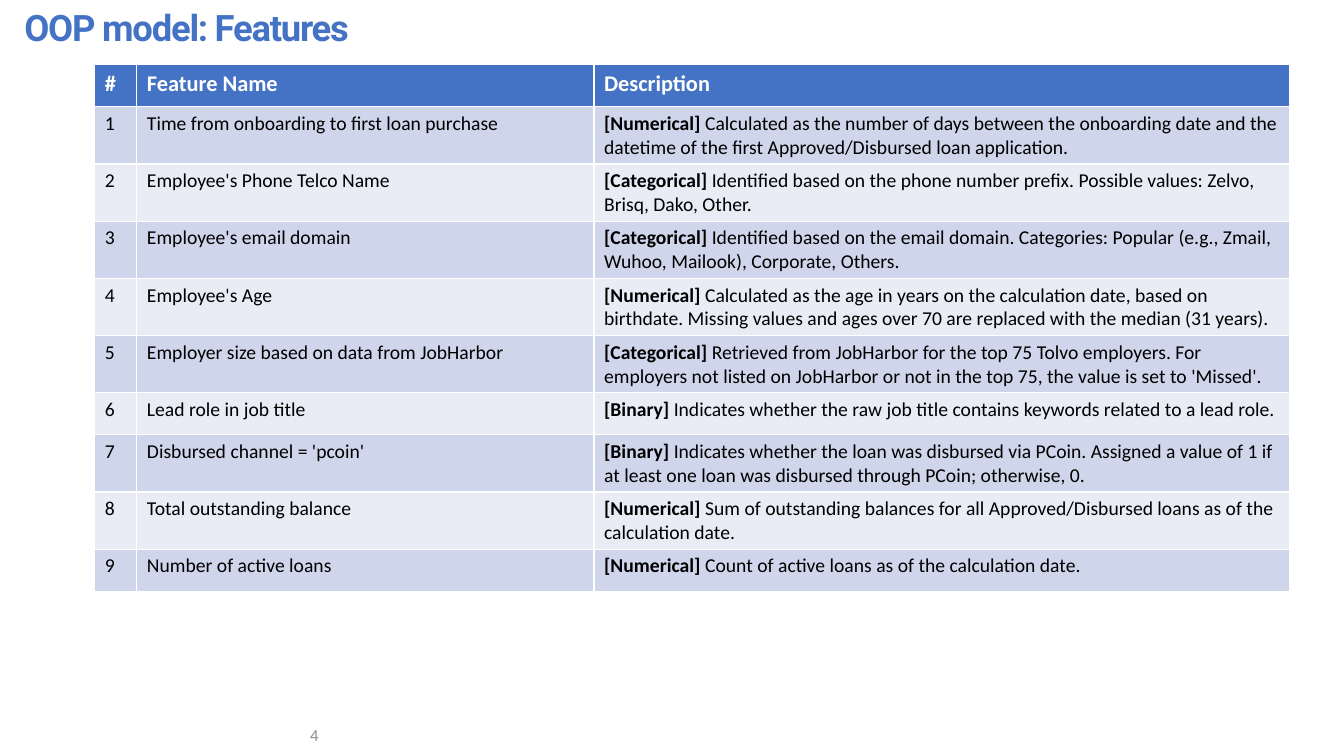
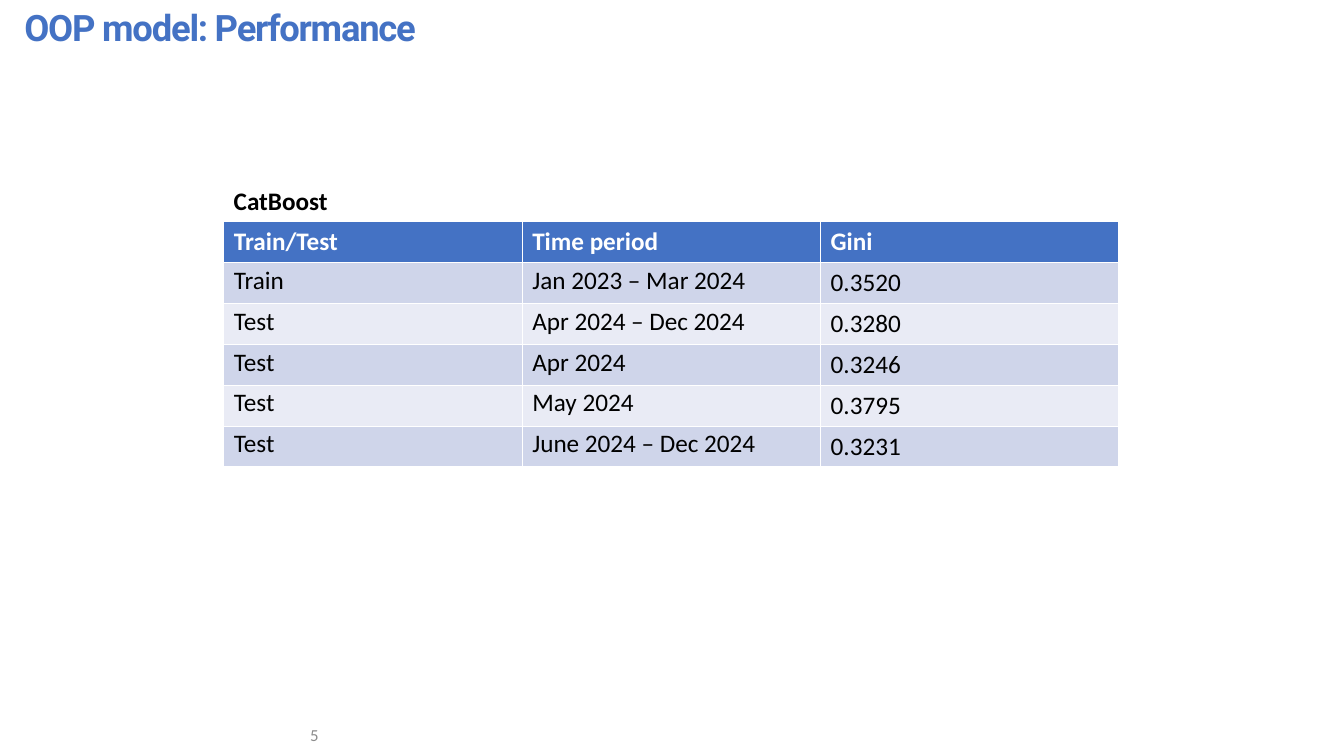
from pptx import Presentation
from pptx import util as u
from pptx.dml.color import RGBColor
from pptx.enum import text

COLORS = {"accent": "4472C4", "band": "CFD5EA", "light": "E9EBF5",
          "white": "FFFFFF", "black": "000000", "gray": "8C8C8C"}
TITLE = {"name": "Roboto", "size": u.Pt(26), "bold": True}
NUMBER = {"name": "Calibri", "size": u.Pt(12), "bold": False}
LABEL = {"name": "Calibri", "size": u.Pt(18), "bold": True}

features = [
    ("Time from onboarding to first loan purchase", "Numerical",
     "Calculated as the number of days between the onboarding date and the "
     "datetime of the first Approved/Disbursed loan application."),
    ("Employee's Phone Telco Name", "Categorical",
     "Identified based on the phone number prefix. Possible values: "
     "Zelvo, Brisq, Dako, Other."),
    ("Employee's email domain", "Categorical",
     "Identified based on the email domain. Categories: Popular (e.g., Zmail, "
     "Wuhoo, Mailook), Corporate, Others."),
    ("Employee's Age", "Numerical",
     "Calculated as the age in years on the calculation date, based on birthdate. "
     "Missing values and ages over 70 are replaced with the median (31 years)."),
    ("Employer size based on data from JobHarbor", "Categorical",
     "Retrieved from JobHarbor for the top 75 Tolvo employers. For employers not "
     "listed on JobHarbor or not in the top 75, the value is set to 'Missed'."),
    ("Lead role in job title", "Binary",
     "Indicates whether the raw job title contains keywords related to a lead role."),
    ("Disbursed channel = 'pcoin'", "Binary",
     "Indicates whether the loan was disbursed via PCoin. Assigned a value of 1 if "
     "at least one loan was disbursed through PCoin; otherwise, 0."),
    ("Total outstanding balance", "Numerical",
     "Sum of outstanding balances for all Approved/Disbursed loans as of the "
     "calculation date."),
    ("Number of active loans", "Numerical",
     "Count of active loans as of the calculation date."),
]
feature_rows = [("#", "Feature Name", "Description")]
for n, (name, kind, description) in enumerate(features, 1):
    feature_rows.append((str(n), name, (f"[{kind}]", f" {description}")))

performance_rows = [
    ("Train/Test", "Time period", "Gini"),
    ("Train", "Jan 2023 – Mar 2024", "0.3520"),
    ("Test", "Apr 2024 – Dec 2024", "0.3280"),
    ("Test", "Apr 2024", "0.3246"),
    ("Test", "May 2024", "0.3795"),
    ("Test", "June 2024 – Dec 2024", "0.3231"),
]

slides = [
    {"title": "OOP model: Features", "number": 4, "rows": feature_rows,
     "at": (2.39, 1.63), "cols": (1.06, 11.52, 17.53), "row": 1.06,
     "head": 16, "body": 14, "spacing": {}},
    {"title": "OOP model: Performance", "number": 5, "rows": performance_rows,
     "at": (5.64, 5.59), "cols": (7.52, 7.52, 7.52), "row": 1.03,
     "head": 18, "body": 18, "spacing": {0: u.Pt(20.2), 1: u.Pt(20.2)},
     "label": "CatBoost"},
]


def add_run(p, words, fmt, color):
    r = p.add_run()
    r.text = words
    for key, value in fmt.items():
        setattr(r.font, key, value)
    r.font.color.rgb = RGBColor.from_string(COLORS[color])
    return r


def add_text(s, at, words, fmt, color):
    tf = s.shapes.add_textbox(*map(u.Cm, at)).text_frame
    tf.word_wrap = True
    add_run(tf.paragraphs[0], words, fmt, color)
    return tf


prs = Presentation()
prs.slide_width, prs.slide_height = u.Cm(33.87), u.Cm(19.05)

for page in slides:
    s = prs.slides.add_slide(prs.slide_layouts[5])

    sp = s.shapes.title
    sp.left, sp.top, sp.width, sp.height = map(u.Cm, (0.36, 0, 32.26, 1.37))
    tf = sp.text_frame
    tf.word_wrap = True
    tf.auto_size = text.MSO_AUTO_SIZE.SHAPE_TO_FIT_TEXT
    tf.vertical_anchor = text.MSO_ANCHOR.TOP
    p = tf.paragraphs[0]
    p.alignment = text.PP_ALIGN.LEFT
    r = add_run(p, page["title"], TITLE, "accent")
    r.font._element.set("spc", "-90")

    tf = add_text(s, (0.86, 18.19, 7.42, 0.64), str(page["number"]), NUMBER, "gray")
    tf.vertical_anchor = text.MSO_ANCHOR.MIDDLE
    tf.paragraphs[0].alignment = text.PP_ALIGN.RIGHT

    rows, cols = page["rows"], page["cols"]
    size = (sum(cols), page["row"] * len(rows))
    table = s.shapes.add_table(len(rows), len(cols),
                               *map(u.Cm, page["at"] + size)).table
    for column, width in zip(table.columns, cols):
        column.width = u.Cm(width)
    for i, row in enumerate(rows):
        table.rows[i].height = u.Cm(page["row"])
        fill = "accent" if i == 0 else "band" if i % 2 else "light"
        for j, value in enumerate(row):
            cell = table.cell(i, j)
            cell.fill.solid()
            cell.fill.fore_color.rgb = RGBColor.from_string(COLORS[fill])
            p = cell.text_frame.paragraphs[0]
            if i and j in page["spacing"]:
                p.line_spacing = page["spacing"][j]
            parts = (value,) if isinstance(value, str) else value
            for k, part in enumerate(parts):
                fmt = {"name": "Calibri",
                       "size": u.Pt(page["body"] if i else page["head"]),
                       "bold": i == 0 or k < len(parts) - 1}
                add_run(p, part, fmt, "black" if i else "white")

    if "label" in page:
        tf = add_text(s, (5.64, 4.55, 6.96, 1.02), page["label"], LABEL, "black")
        tf.auto_size = text.MSO_AUTO_SIZE.SHAPE_TO_FIT_TEXT

prs.save("out.pptx")
